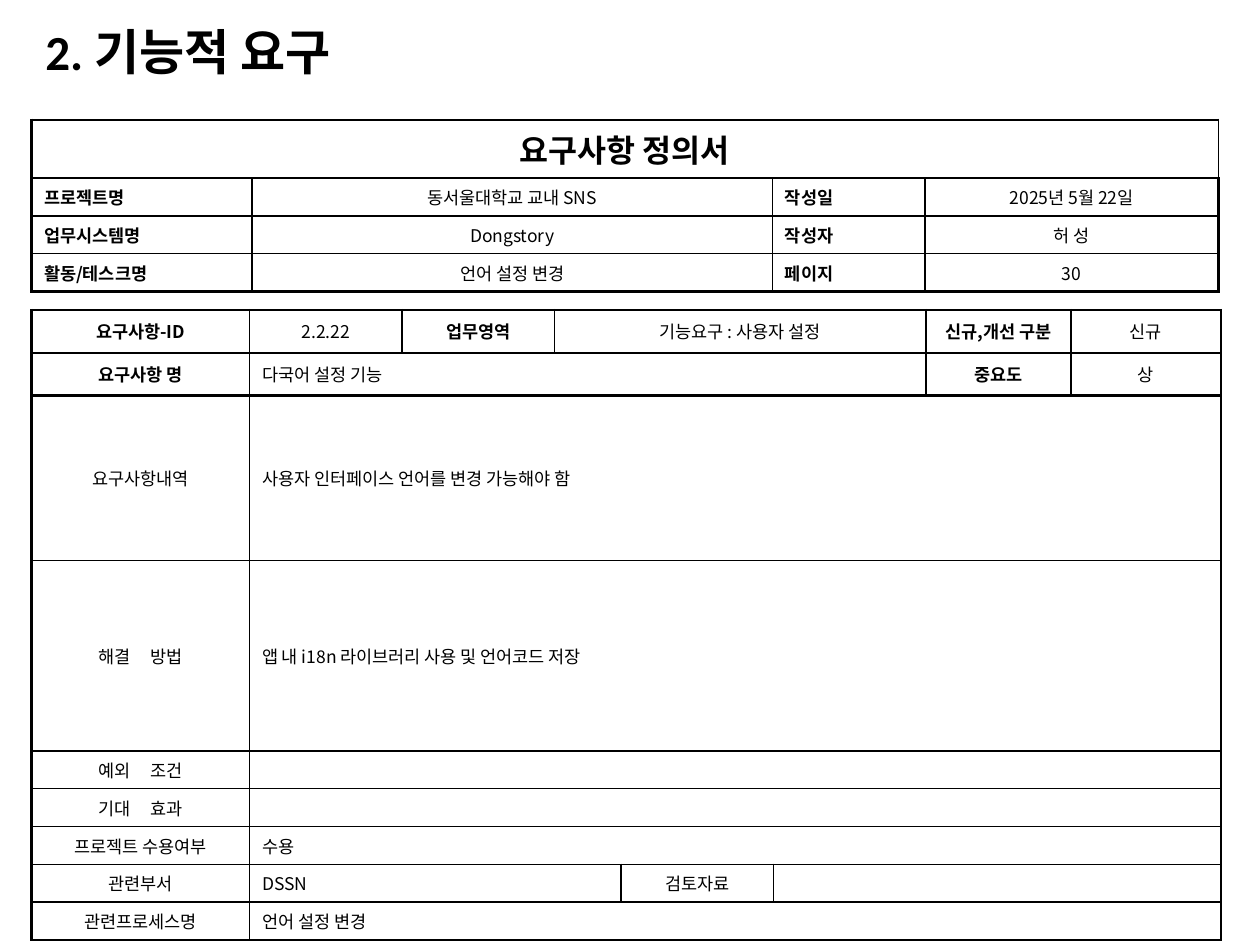
from dataclasses import dataclass

from lxml.etree import SubElement
from pptx import Presentation
from pptx.dml.color import RGBColor
from pptx.enum.text import MSO_ANCHOR, MSO_AUTO_SIZE, PP_ALIGN
from pptx.oxml.ns import qn
from pptx.util import Inches, Pt


@dataclass(frozen=True)
class Theme:
    ink: str = "000000"
    title_font: str = "Calibri"
    table_font: str = "Noto Sans CJK KR"
    title_size: int = 28
    heading_size: int = 18
    body_size: int = 10
    thin: float = 1
    thick: float = 1.5
    wide_gap: int = 900


@dataclass(frozen=True)
class Entry:
    text: str
    span: int = 1
    bold: bool = False
    align: PP_ALIGN = PP_ALIGN.CENTER
    size: int = Theme.body_size
    font: str = Theme.table_font
    spread: bool = False


@dataclass(frozen=True)
class Form:
    left: float
    top: float
    columns: list[float]
    heights: list[float]
    rows: list[list[Entry]]
    thick_lines: set[int]
    thick_right: set[int]
    anchor: MSO_ANCHOR


THEME = Theme()


def header(text: str) -> Entry:
    return Entry(text, bold=True)


def label(text: str) -> Entry:
    return Entry(text, bold=True, align=PP_ALIGN.JUSTIFY)


def answer(text: str, span: int = 7, font: str = THEME.table_font) -> Entry:
    return Entry(text, span, align=PP_ALIGN.LEFT, font=font)


def style_font(paragraph, name: str, size: int, bold: bool) -> None:
    font = paragraph.font
    font.name, font.size, font.bold = name, Pt(size), bold
    font.color.rgb = RGBColor.from_string(THEME.ink)


def add_border(cell, side: str, width: float) -> None:
    line = SubElement(cell._tc.get_or_add_tcPr(), qn(f"a:ln{side}"), w=str(Pt(width)))
    fill = SubElement(line, qn("a:solidFill"))
    SubElement(fill, qn("a:srgbClr"), val=THEME.ink)


def write_entry(cell, entry: Entry) -> None:
    paragraph = cell.text_frame.paragraphs[0]
    paragraph.alignment = entry.align
    if entry.spread:
        first, last = entry.text.split(" ")
        for part in (first, " ", last):
            span = paragraph.add_run()
            span.text = part
            if part == " ":
                span.font._element.set("spc", str(THEME.wide_gap))
    elif entry.text:
        paragraph.add_run().text = entry.text
    else:
        SubElement(paragraph._p, qn("a:endParaRPr"), sz=str(entry.size * 100))
    style_font(paragraph, entry.font, entry.size, entry.bold)


def draw_form(page, form: Form) -> None:
    frame = page.shapes.add_table(
        len(form.heights), len(form.columns), Inches(form.left), Inches(form.top),
        Inches(sum(form.columns)), Inches(sum(form.heights)))
    table = frame.table
    table.first_row = table.horz_banding = False
    for column, width in zip(table.columns, form.columns):
        column.width = Inches(width)
    for row, height in zip(table.rows, form.heights):
        row.height = Inches(height)

    for row_index, entries in enumerate(form.rows):
        column_index = 0
        for entry in entries:
            end = column_index + entry.span
            origin = table.cell(row_index, column_index)
            if entry.span > 1:
                origin.merge(table.cell(row_index, end - 1))
            write_entry(origin, entry)
            is_last = end == len(form.columns)
            right = THEME.thick if is_last and row_index in form.thick_right else THEME.thin
            for index in range(column_index, end):
                cell = table.cell(row_index, index)
                if index > column_index:
                    write_entry(cell, Entry(""))
                if index == column_index:
                    add_border(cell, "L", THEME.thin if index else THEME.thick)
                if index in (column_index, end - 1):
                    add_border(cell, "R", right)
                for side, line in (("T", row_index), ("B", row_index + 1)):
                    add_border(cell, side, THEME.thick if line in form.thick_lines else THEME.thin)
                cell.fill.background()
                cell.vertical_anchor = form.anchor if entry.size == THEME.body_size else MSO_ANCHOR.MIDDLE
            column_index = end


def add_title(page, text: str) -> None:
    title = page.shapes.title
    title.left, title.top, title.width, title.height = (
        Inches(value) for value in (0.26, 0.21, 5.36, 0.44))
    title.text_frame.text = text
    title.text_frame.auto_size = MSO_AUTO_SIZE.NONE
    title.text_frame.vertical_anchor = MSO_ANCHOR.MIDDLE
    paragraph = title.text_frame.paragraphs[0]
    paragraph.alignment = PP_ALIGN.LEFT
    paragraph.line_spacing = 0.9
    style_font(paragraph, THEME.title_font, THEME.title_size, True)


REQUIREMENT = Form(
    left=0.25, top=2.46,
    columns=[1.73, 1.21, 1.21, 0.53, 1.21, 1.21, 1.15, 1.19],
    heights=[0.34, 0.34, 1.31, 1.51] + [0.27] * 5,
    rows=[
        [header("요구사항-ID"), Entry("2.2.22"), header("업무영역"),
         Entry("기능요구 : 사용자 설정", span=3), header("신규,개선 구분"), Entry("신규")],
        [header("요구사항 명"), answer("다국어 설정 기능", span=5), header("중요도"), Entry("상")],
        [Entry("요구사항내역"),
         answer("사용자 인터페이스 언어를 변경 가능해야 함", font=THEME.title_font)],
        [Entry("해결 방법", spread=True), answer("앱 내 i18n 라이브러리 사용 및 언어코드 저장")],
        [Entry("예외 조건", spread=True), answer("")],
        [Entry("기대 효과", spread=True), answer("")],
        [Entry("프로젝트 수용여부"), answer("수용")],
        [Entry("관련부서"), answer("DSSN", span=3), Entry("검토자료"), answer("", span=3)],
        [Entry("관련프로세스명"), answer("언어 설정 변경")],
    ],
    thick_lines={0, 1, 2, 9}, thick_right={0, 1}, anchor=MSO_ANCHOR.MIDDLE)

DOCUMENT = Form(
    left=0.25, top=0.95,
    columns=[1.75, 4.13, 1.21, 2.33],
    heights=[0.46] + [0.27] * 3,
    rows=[
        [Entry("요구사항 정의서", span=4, bold=True, size=THEME.heading_size)],
        [label("프로젝트명"), Entry("동서울대학교 교내 SNS"), label("작성일"), Entry("2025년 5월 22일")],
        [label("업무시스템명"), Entry("Dongstory"), label("작성자"), Entry("허 성")],
        [label("활동/테스크명"), Entry("언어 설정 변경"), label("페이지"), Entry("30")],
    ],
    thick_lines={0, 4}, thick_right={1, 2, 3}, anchor=MSO_ANCHOR.TOP)


def main() -> None:
    deck = Presentation()
    deck.slide_width, deck.slide_height = Inches(10), Inches(7.5)
    page = deck.slides.add_slide(deck.slide_layouts.get_by_name("Title Only"))
    add_title(page, "2. 기능적 요구")
    for form in (REQUIREMENT, DOCUMENT):
        draw_form(page, form)
    deck.save("out.pptx")


if __name__ == "__main__":
    main()
